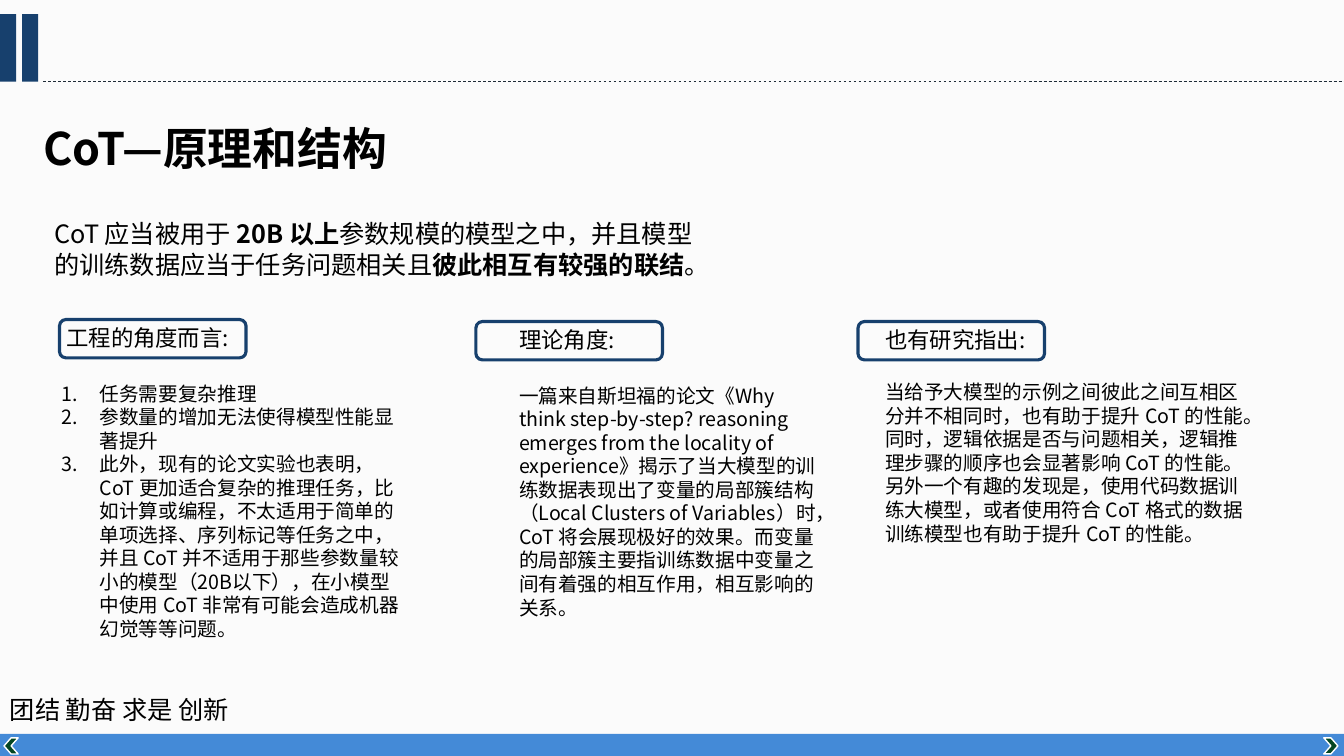
from dataclasses import dataclass

from lxml import etree
from pptx import Presentation
from pptx.dml.color import RGBColor
from pptx.enum.dml import MSO_LINE
from pptx.enum.shapes import MSO_CONNECTOR, MSO_SHAPE
from pptx.oxml.ns import qn
from pptx.util import Inches, Pt

RECT = MSO_SHAPE.RECTANGLE
ROUNDED = MSO_SHAPE.ROUNDED_RECTANGLE
CHEVRON = MSO_SHAPE.CHEVRON
STRAIGHT = MSO_CONNECTOR.STRAIGHT
DASH = MSO_LINE.DASH


@dataclass(frozen=True)
class Theme:
    paper: str = "FBFBFB"
    navy: str = "17406D"
    rule: str = "1F2B37"
    band: str = "448AD7"
    arrow: str = "044622"
    white: str = "FFFFFF"
    ink: str = "000000"
    font: str = "Noto Sans CJK SC"
    motto_font: str = "Noto Sans CJK JP"
    title: int = 32
    lead: int = 18
    label: int = 16
    body: int = 14


THEME = Theme()
WIDTH, HEIGHT = 13.33, 7.5

LEAD = [
    ("CoT 应当被用于 ", False),
    ("20B 以上", True),
    ("参数规模的模型之中，并且模型的训练数据应当于任务问题相关且", False),
    ("彼此相互有较强的联结", True),
    ("。", False),
]
ENGINEERING = [
    "任务需要复杂推理",
    "参数量的增加无法使得模型性能显著提升",
    "此外，现有的论文实验也表明，CoT 更加适合复杂的推理任务，比如计算或编程，"
    "不太适用于简单的单项选择、序列标记等任务之中，并且 CoT 并不适用于那些参数量"
    "较小的模型（20B以下），在小模型中使用 CoT 非常有可能会造成机器幻觉等等问题。",
]
THEORY = [
    "一篇来自斯坦福的论文《Why think step-by-step? reasoning emerges from the "
    "locality of experience》揭示了当大模型的训练数据表现出了变量的局部簇结构"
    "（Local Clusters of Variables）时，CoT 将会展现极好的效果。而变量的局部簇"
    "主要指训练数据中变量之间有着强的相互作用，相互影响的关系。",
]
RESEARCH = [
    "当给予大模型的示例之间彼此之间互相区分并不相同时，也有助于提升 CoT 的性能。"
    "同时，逻辑依据是否与问题相关，逻辑推理步骤的顺序也会显著影响 CoT 的性能。"
    "另外一个有趣的发现是，使用代码数据训练大模型，或者使用符合 CoT 格式的数据"
    "训练模型也有助于提升 CoT 的性能。",
]


def rgb(value):
    return RGBColor.from_string(value)


def add_block(slide, kind, box, fill=None, line=None, weight=1):
    block = slide.shapes.add_shape(kind, *map(Inches, box))
    block.shadow.inherit = False
    if fill:
        block.fill.solid()
        block.fill.fore_color.rgb = rgb(fill)
    else:
        block.fill.background()
    if line:
        block.line.color.rgb = rgb(line)
        block.line.width = Pt(weight)
    else:
        block.line.fill.background()
    return block


def add_frame(slide, box):
    frame = slide.shapes.add_textbox(*map(Inches, box)).text_frame
    frame.word_wrap = True
    return frame


def write(paragraph, text, size, bold=False, font=THEME.font, color=THEME.ink):
    run = paragraph.add_run()
    run.text = text
    run.font.size = Pt(size)
    run.font.bold = bold
    run.font.name = font
    run.font.color.rgb = rgb(color)
    east_asian = etree.SubElement(run._r.get_or_add_rPr(), qn("a:ea"))
    east_asian.set("typeface", font)


def indent(paragraph, margin, hanging=0, numbered=False):
    props = paragraph._p.get_or_add_pPr()
    props.set("marL", str(Inches(margin)))
    props.set("indent", str(Inches(-hanging)))
    if numbered:
        etree.SubElement(props, qn("a:buFontTx"))
        number = etree.SubElement(props, qn("a:buAutoNum"))
        number.set("type", "arabicPeriod")


def add_header(slide, box):
    left, top, width, height = box
    bar, pitch = 0.16, 0.22
    rule_left = left + 2 * pitch - 0.01
    bottom = top + height
    rule = slide.shapes.add_connector(
        STRAIGHT, Inches(rule_left), Inches(bottom), Inches(left + width), Inches(bottom))
    rule.line.color.rgb = rgb(THEME.rule)
    rule.line.width = Pt(0.5)
    rule.line.dash_style = DASH
    etree.SubElement(rule._element.spPr, qn("a:effectLst"))
    for index in range(2):
        add_block(slide, RECT, (left + index * pitch, top, bar, height), fill=THEME.navy)


def add_footer(slide, box):
    left, top, width, height = box
    add_block(slide, RECT, box, fill=THEME.band)
    # Page arrows at both ends of the band
    for arrow_left, turn in ((left + width - 0.2, 0), (left + 0.04, 180)):
        arrow = add_block(slide, CHEVRON, (arrow_left, top + 0.04, 0.14, 0.16),
                          fill=THEME.arrow, line=THEME.white)
        arrow.rotation = turn
    # Motto above the band
    motto = add_frame(slide, (left, top - 0.44, 2.93, 0.4))
    write(motto.paragraphs[0], "团结 勤奋 求是 创新", THEME.lead, font=THEME.motto_font)


def add_heading(slide, box):
    left, top, width, height = box
    title = add_frame(slide, (left, top, width, 0.64))
    write(title.paragraphs[0], "CoT—原理和结构", THEME.title, bold=True)
    # Lead sentence with its key phrases in bold
    lead = add_frame(slide, (left + 0.11, top + 0.97, width, height - 0.97))
    for text, bold in LEAD:
        write(lead.paragraphs[0], text, THEME.lead, bold=bold)


def add_column(slide, box, label, items, outline_shift, gap,
               label_indent=0, numbered=False):
    left, top = box[:2]
    add_block(slide, ROUNDED, (left + outline_shift, top, 1.85, 0.38),
              line=THEME.navy, weight=2.25)
    frame = add_frame(slide, box)
    heading = frame.paragraphs[0]
    indent(heading, label_indent)
    write(heading, label, THEME.label)
    for index, item in enumerate(items):
        paragraph = frame.add_paragraph()
        if numbered:
            indent(paragraph, 0.38, hanging=0.38, numbered=True)
        if index == 0:
            paragraph.space_before = Pt(gap)
        write(paragraph, item, THEME.body)


def build_slide(deck):
    slide = deck.slides.add_slide(deck.slide_layouts[6])
    slide.background.fill.solid()
    slide.background.fill.fore_color.rgb = rgb(THEME.paper)
    add_header(slide, (0, 0.14, WIDTH, 0.67))
    add_footer(slide, (0, 7.28, WIDTH, 0.23))
    add_heading(slide, (0.33, 1.15, 6.7, 1.68))
    # Three points of view
    add_column(slide, (0.51, 3.17, 3.62, 3.26), "工程的角度而言:", ENGINEERING,
               outline_shift=0.08, gap=21.6, label_indent=0.05, numbered=True)
    add_column(slide, (5.05, 3.19, 3.23, 2.79), "理论角度:", THEORY,
               outline_shift=-0.33, gap=21.6)
    add_column(slide, (8.68, 3.19, 3.84, 2.29), "也有研究指出:", RESEARCH,
               outline_shift=-0.17, gap=19.2)


def main():
    deck = Presentation()
    deck.slide_width = Inches(WIDTH)
    deck.slide_height = Inches(HEIGHT)
    build_slide(deck)
    deck.save("out.pptx")


if __name__ == "__main__":
    main()
